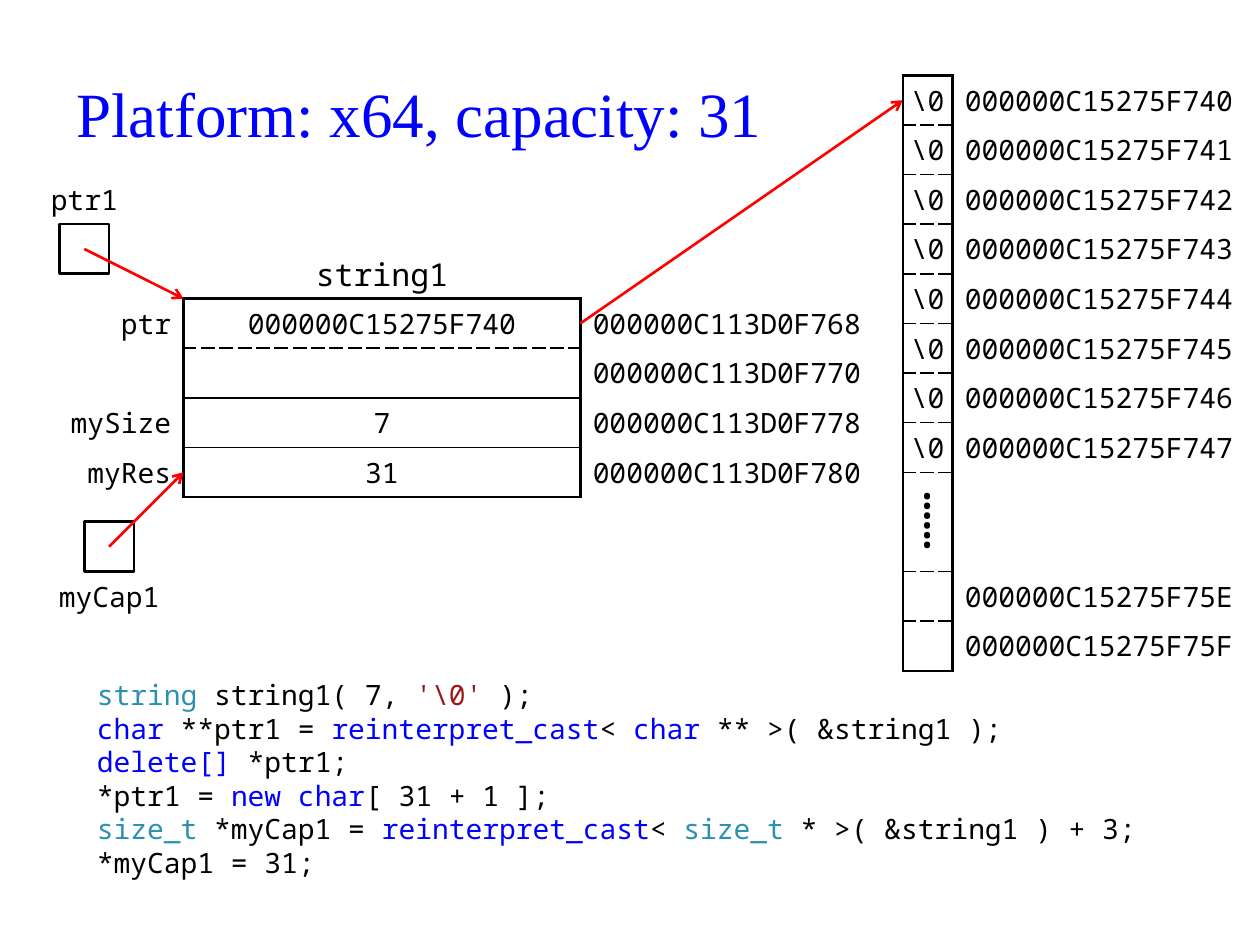
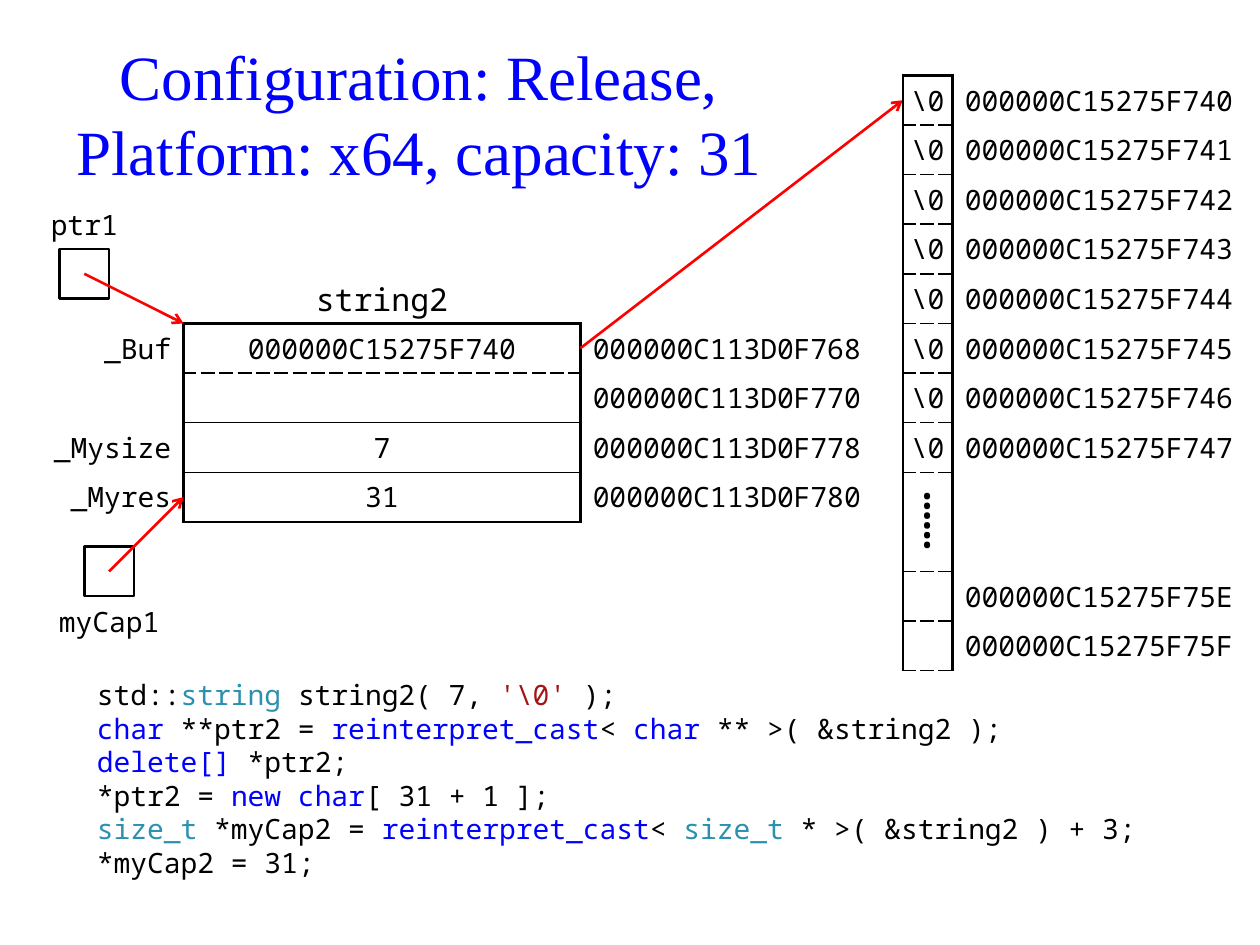
from dataclasses import dataclass

from pptx import Presentation
from pptx import util as u
from pptx.dml.color import RGBColor
from pptx.enum import shapes, text
from pptx.oxml.ns import qn
from lxml import etree

Cm, Pt = u.Cm, u.Pt
ALIGN, ANCHOR = text.PP_ALIGN, text.MSO_ANCHOR


@dataclass(frozen=True)
class Theme:
    ink: str = "000000"
    keyword: str = "0000FF"
    type_name: str = "2B91AF"
    literal: str = "A31515"
    title: str = "0000FF"
    arrow: str = "FF0000"
    serif: str = "Times New Roman"
    mono: str = "Noto Sans Mono"
    title_size: float = 36
    title_leading: float = 43
    label_size: float = 18
    code_size: float = 16
    code_leading: float = 19.2
    dots_size: float = 28
    thick: float = 1.5
    thin: float = 1


THEME = Theme()
NO_STYLE = "{2D5ABB26-0587-4C30-8999-92F81FD0307C}"

# Borders as (width in points, dash)
THICK = (THEME.thick, "solid")
THIN = (THEME.thin, "solid")
DASHED = (THEME.thin, "sysDash")

UNIT = 1  # side of one memory cell, cm
MEMORY_LEFT, MEMORY_TOP = 18.2, 1.52
OBJECT_LEFT = 0.7
OBJECT_COLUMNS = (3, 8, 6)
MEMORY_COLUMNS = (1, 6)


def add_span(para, words, colour=THEME.ink, size=THEME.code_size, font=THEME.mono):
    span = para.add_run()
    span.text = words
    span.font.name = font
    span.font.size = Pt(size)
    span.font.color.rgb = RGBColor.from_string(colour)


def place(shape, left, top, width, height):
    shape.left, shape.top = Cm(left), Cm(top)
    shape.width, shape.height = Cm(width), Cm(height)


def add_label(page, words, left, top, width, size=THEME.code_size):
    box = page.shapes.add_textbox(Cm(left), Cm(top), Cm(width), Cm(UNIT))
    frame = box.text_frame
    frame.margin_left = frame.margin_right = 0
    frame.vertical_anchor = ANCHOR.MIDDLE
    frame.word_wrap = True
    para = frame.paragraphs[0]
    para.alignment = ALIGN.CENTER
    add_span(para, words, size=size)


def add_arrow(page, start, end):
    arrow = page.shapes.add_connector(
        shapes.MSO_CONNECTOR.STRAIGHT, *(Cm(value) for value in start + end))
    arrow.line.color.rgb = RGBColor.from_string(THEME.arrow)
    arrow.line.width = Pt(THEME.thick)
    etree.SubElement(arrow.line._get_or_add_ln(), qn("a:tailEnd"), type="arrow")
    etree.SubElement(arrow._element.spPr, qn("a:effectLst"))


def add_pointer(page, left, top, target):
    """Square variable box with an arrow from its centre to the target."""
    square = page.shapes.add_shape(
        shapes.MSO_SHAPE.RECTANGLE, Cm(left), Cm(top), Cm(UNIT), Cm(UNIT))
    square.shadow.inherit = False
    square.fill.background()
    square.line.color.rgb = RGBColor.from_string(THEME.ink)
    square.line.width = Pt(THEME.thick)
    add_arrow(page, (left + UNIT / 2, top + UNIT / 2), target)


def add_grid(page, left, top, columns, row_count):
    """Plain table of square-high rows without fills or borders."""
    frame = page.shapes.add_table(row_count, len(columns), Cm(left), Cm(top),
                                  Cm(sum(columns)), Cm(row_count * UNIT))
    table = frame.table
    table.first_row = table.horz_banding = False
    table._tbl.tblPr.find(qn("a:tableStyleId")).text = NO_STYLE
    for column, width in zip(table.columns, columns):
        column.width = Cm(width)
    for row in table.rows:
        row.height = Cm(UNIT)
    for cell in table.iter_cells():
        cell.fill.background()
        cell.vertical_anchor = ANCHOR.MIDDLE
        cell.margin_top = cell.margin_bottom = Cm(0.1)
    return table


def fill_cell(cell, words, align, side=0.25, **style):
    cell.margin_left = cell.margin_right = Cm(side)
    para = cell.text_frame.paragraphs[0]
    para.alignment = align
    if words:
        add_span(para, words, **style)


def rule_column(table, column, edges):
    """Thick sides; edges lists the horizontal rules from top to bottom."""
    for row, (above, below) in enumerate(zip(edges, edges[1:])):
        properties = table.cell(row, column)._tc.get_or_add_tcPr()
        borders = zip(("lnL", "lnR", "lnT", "lnB"), (THICK, THICK, above, below))
        for index, (tag, (width, dash)) in enumerate(borders):
            line = etree.Element(qn(f"a:{tag}"), w=str(Pt(width)))
            fill = etree.SubElement(line, qn("a:solidFill"))
            etree.SubElement(fill, qn("a:srgbClr"), val=THEME.ink)
            etree.SubElement(line, qn("a:prstDash"), val=dash)
            properties.insert(index, line)


def add_title(page, lines):
    title = page.shapes.title
    place(title, 1.2, 1.02, 14.5, 2.5)
    frame = title.text_frame
    frame.auto_size = text.MSO_AUTO_SIZE.NONE
    frame.vertical_anchor = ANCHOR.MIDDLE
    para = frame.paragraphs[0]
    para.alignment = ALIGN.CENTER
    para.line_spacing = Pt(THEME.title_leading)
    for index, line in enumerate(lines):
        if index:
            para.add_line_break()
        add_span(para, line, THEME.title, THEME.title_size, THEME.serif)


def code_lines(number, prefix):
    """Lines of (words, colour) spans for the given variable number."""
    ink, key, kind = THEME.ink, THEME.keyword, THEME.type_name
    name, ptr, cap = f"string{number}", f"ptr{number}", f"myCap{number}"
    return [
        prefix + [("string ", kind), (f"{name}( 7, ", ink),
                  (r"'\0'", THEME.literal), (" );", ink)],
        [("char ", key), (f"**{ptr} = ", ink), ("reinterpret_cast", key),
         ("< ", ink), ("char", key), (f" ** >( &{name} );", ink)],
        [("delete[]", key), (f" *{ptr};", ink)],
        [(f"*{ptr} = ", ink), ("new char", key), ("[ 31 + 1 ];", ink)],
        [("size_t ", kind), (f"*{cap} = ", ink), ("reinterpret_cast", key),
         ("< ", ink), ("size_t", kind), (f" * >( &{name} ) + 3;", ink)],
        [(f"*{cap} = 31;", ink)],
    ]


def add_code(page, lines):
    body = page.placeholders[1]
    place(body, 1.7, 13.53, 22, 4.5)
    frame = body.text_frame
    frame.auto_size = text.MSO_AUTO_SIZE.NONE
    for index, line in enumerate(lines):
        para = frame.add_paragraph() if index else frame.paragraphs[0]
        para.line_spacing = Pt(THEME.code_leading)
        para.space_before = Pt(0)
        properties = para._p.get_or_add_pPr()
        properties.set("marL", "0")
        properties.set("indent", "0")
        etree.SubElement(properties, qn("a:buNone"))
        for words, colour in line:
            add_span(para, words, colour)


def add_string_object(page, top, name, members):
    """Member table of the string, with its name and the two pointers to it."""
    left = OBJECT_LEFT
    inner = left + OBJECT_COLUMNS[0]
    add_label(page, name, inner + 2, top - 1, 4, THEME.label_size)

    values = ("000000C15275F740", "", "7", "31")
    table = add_grid(page, left, top, OBJECT_COLUMNS, len(values))
    for row, (member, value, ending) in enumerate(
            zip(members, values, ("68", "70", "78", "80"))):
        fill_cell(table.cell(row, 0), member, ALIGN.RIGHT)
        fill_cell(table.cell(row, 1), value, ALIGN.CENTER)
        fill_cell(table.cell(row, 2), f"000000C113D0F7{ending}", ALIGN.LEFT)
    rule_column(table, 1, [THICK, DASHED, THIN, THIN, THICK])

    add_label(page, "ptr1", left, top - 2.5, 2)
    add_pointer(page, left + 0.5, top - 1.5, (inner, top))
    add_label(page, "myCap1", left, top + 5.5, 3)
    add_pointer(page, left + 1, top + 4.5, (inner, top + 3.5))
    add_arrow(page, (inner + OBJECT_COLUMNS[1], top + 0.5),
              (MEMORY_LEFT, MEMORY_TOP + 0.5))


def add_memory(page, left, top, last_edge):
    """Column of bytes with their addresses and a gap two rows high."""
    endings = [f"4{digit}" for digit in range(8)] + ["", "", "5E", "5F"]
    table = add_grid(page, left, top, MEMORY_COLUMNS, len(endings))
    for row, ending in enumerate(endings):
        byte = r"\0" if row < 8 else ""
        fill_cell(table.cell(row, 0), byte, ALIGN.CENTER, side=0)
        address = f"000000C15275F7{ending}" if ending else ""
        fill_cell(table.cell(row, 1), address, ALIGN.LEFT)
    rule_column(table, 0, [THICK] + [DASHED] * (len(endings) - 1) + [last_edge])
    gap = table.cell(8, 0)
    gap.merge(table.cell(9, 0))
    gap.margin_top = gap.margin_bottom = 0
    fill_cell(gap, "⸽", ALIGN.CENTER, side=0, size=THEME.dots_size, font=THEME.serif)


def add_string_page(deck, number, title, members, object_top, prefix, last_edge):
    page = deck.slides.add_slide(deck.slide_layouts[1])
    add_title(page, title)
    add_code(page, code_lines(number, prefix))
    add_string_object(page, object_top, f"string{number}", members)
    add_memory(page, MEMORY_LEFT, MEMORY_TOP, last_edge)


def main():
    deck = Presentation()
    deck.slide_width, deck.slide_height = Cm(25.4), Cm(19.05)
    platform = "Platform: x64, capacity: 31"
    add_string_page(deck, 1, [platform], ("ptr", "", "mySize", "myRes"),
                    6.02, [], THICK)
    add_string_page(deck, 2, ["Configuration: Release,", platform],
                    ("_Buf", "", "_Mysize", "_Myres"),
                    6.52, [("std::", THEME.ink)], DASHED)
    deck.save("out.pptx")


if __name__ == "__main__":
    main()
